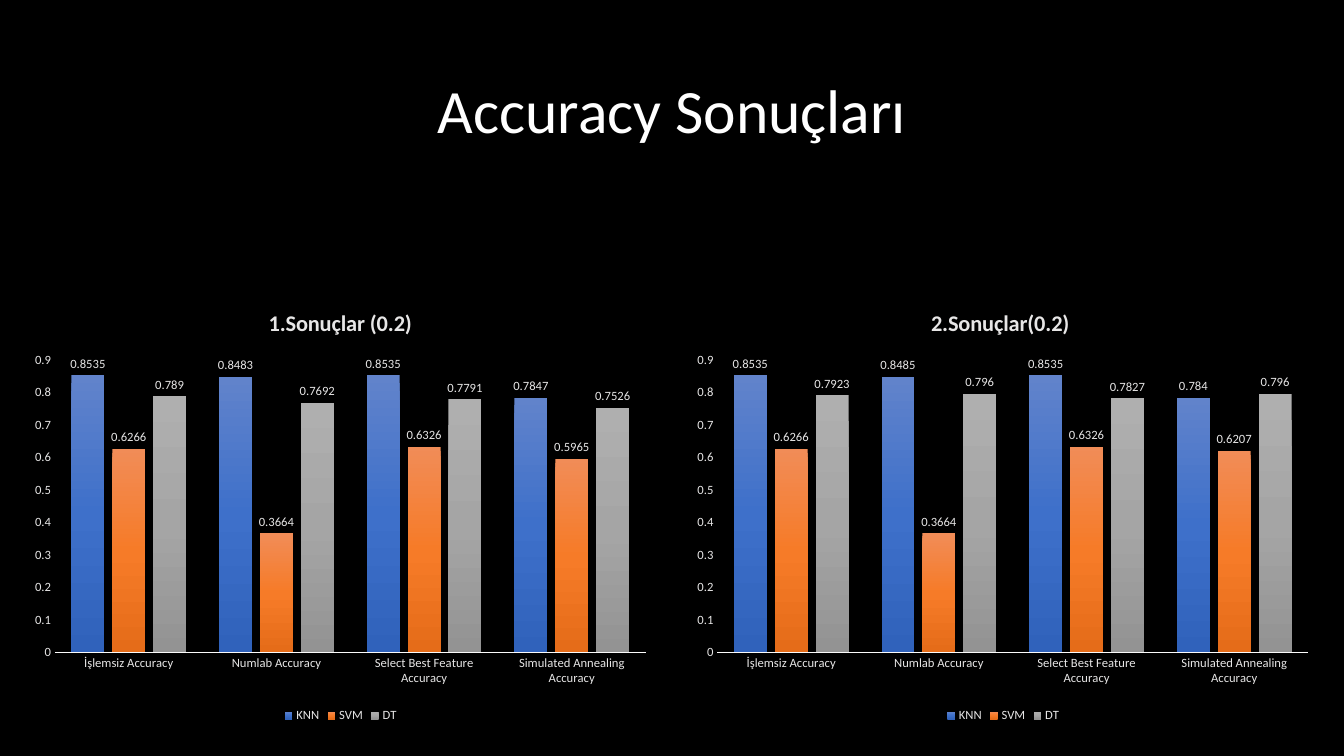
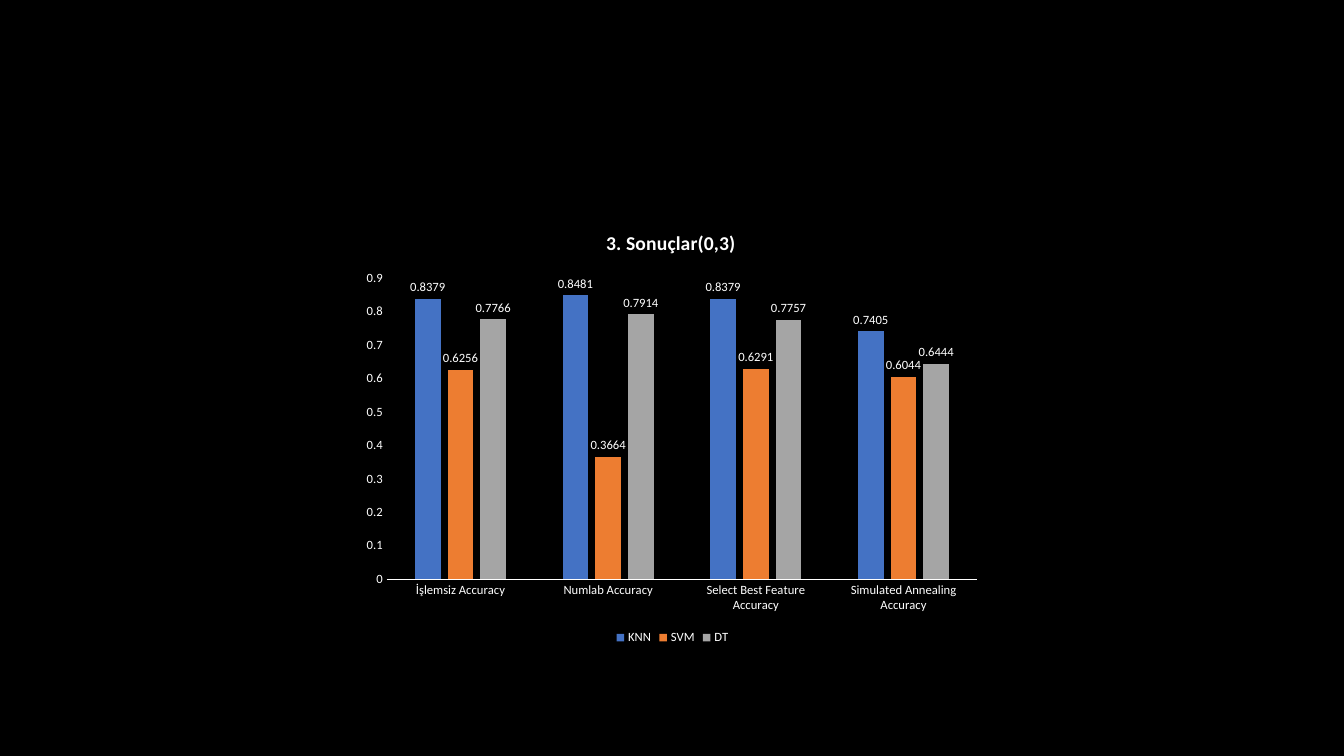
from dataclasses import dataclass

from pptx import Presentation
from pptx import util as u
from pptx.chart.data import CategoryChartData
from pptx.dml.color import RGBColor
from pptx.enum import chart as ch
from pptx.enum import text
from pptx.oxml import parse_xml
from pptx.oxml.ns import nsdecls, qn


@dataclass(frozen=True)
class Theme:
    font: str = "Calibri"
    background: str = "000000"
    white: str = "FFFFFF"
    title_size: int = 44
    label_size: int = 9


@dataclass(frozen=True)
class ChartStyle:
    text: str
    axis: str
    title_size: int
    gap: int
    overlap: int
    fills: tuple      # per series: one colour, or the stops of a gradient
    title_at: tuple   # fractions of the chart: x, y
    plot_at: tuple    # fractions of the chart: x, y, w, h


THEME = Theme()
GRADIENT = ChartStyle(
    "E7E6E6", "FBFBFB", 16, 100, -24,
    (("6183CB", "3E70CA", "3062BB"),
     ("F18C57", "F67B28", "E56C19"),
     ("AFAFAF", "A5A5A5", "939393")),
    (0.38, 0.03), (0.05, 0.16, 0.93, 0.67))
FLAT = ChartStyle(
    THEME.white, THEME.white, 14, 219, -27,
    (("4472C4",), ("ED7D31",), ("A5A5A5",)),
    (0.39, 0.03), (0.05, 0.15, 0.93, 0.69))

PX = 9144  # 100 px to the inch
CHART_W, CHART_H = 630, 433
CATEGORIES = ("İşlemsiz Accuracy", "Numlab Accuracy",
              "Select Best Feature Accuracy", "Simulated Annealing Accuracy")
MODELS = ("KNN", "SVM", "DT")


def px(n):
    return u.Emu(n * PX)


def set_font(font, size, color, bold=False):
    font.name, font.size, font.bold = THEME.font, u.Pt(size), bold
    font.color.rgb = RGBColor.from_string(color)


def set_background(slide, color):
    fill = slide.background.fill
    fill.solid()
    fill.fore_color.rgb = RGBColor.from_string(color)


def add_title(s, title):
    tf = s.shapes.add_textbox(px(92), px(40), px(1150), px(145)).text_frame
    tf.word_wrap = True
    tf.vertical_anchor = text.MSO_ANCHOR.MIDDLE
    tf.text = title
    p = tf.paragraphs[0]
    p.alignment = text.PP_ALIGN.CENTER
    p.line_spacing = 0.9
    set_font(p.runs[0].font, THEME.title_size, THEME.white)


def set_layout(parent, index, fractions, inner=False):
    """Place a chart part by fractions of the chart's size."""
    old = parent.find(qn("c:layout"))
    if old is not None:
        parent.remove(old)
    target = '<c:layoutTarget val="inner"/>' if inner else ""
    modes = '<c:xMode val="edge"/><c:yMode val="edge"/>'
    sizes = "".join(f'<c:{k} val="{v}"/>' for k, v in zip("xywh", fractions))
    parent.insert(index, parse_xml(
        f'<c:layout {nsdecls("c")}><c:manualLayout>{target}{modes}{sizes}'
        "</c:manualLayout></c:layout>"))


def fill_series(series, colors):
    fill = series.format.fill
    fill.solid()
    fill.fore_color.rgb = RGBColor.from_string(colors[0])
    if len(colors) > 1:
        step = 100000 // (len(colors) - 1)
        stops = "".join(
            f'<a:gs pos="{i * step}"><a:srgbClr val="{c}"/></a:gs>'
            for i, c in enumerate(colors))
        sp_pr = series.format.fill._xPr
        solid = sp_pr.find(qn("a:solidFill"))
        sp_pr.replace(solid, parse_xml(
            f'<a:gradFill {nsdecls("a")} rotWithShape="1"><a:gsLst>{stops}'
            '</a:gsLst><a:lin ang="5400000" scaled="0"/></a:gradFill>'))


def style_axes(chart, style):
    for axis in (chart.category_axis, chart.value_axis):
        axis.has_major_gridlines = False
        axis.major_tick_mark = axis.minor_tick_mark = ch.XL_TICK_MARK.NONE
        set_font(axis.tick_labels.font, THEME.label_size, style.text)
    line = chart.category_axis.format.line
    line.width = u.Pt(0.75)
    line.color.rgb = RGBColor.from_string(style.axis)
    values = chart.value_axis
    values.minimum_scale, values.maximum_scale, values.major_unit = 0, 0.9, 0.1
    values.format.line.fill.background()


def add_accuracy_chart(s, left, top, title, rows, style):
    data = CategoryChartData()
    data.categories = CATEGORIES
    for model, row in zip(MODELS, rows):
        data.add_series(model, row)
    chart = s.shapes.add_chart(
        ch.XL_CHART_TYPE.COLUMN_CLUSTERED, px(left), px(top),
        px(CHART_W), px(CHART_H), data).chart
    set_font(chart.font, 10, THEME.white)

    # Title
    chart.has_title = True
    tf = chart.chart_title.text_frame
    tf.text = title
    set_font(tf.paragraphs[0].runs[0].font, style.title_size, style.text, True)
    set_layout(chart.chart_title._element, 1, style.title_at)

    # Legend and axes
    chart.has_legend = True
    chart.legend.position = ch.XL_LEGEND_POSITION.BOTTOM
    chart.legend.include_in_layout = False
    set_font(chart.legend.font, THEME.label_size, style.text)
    style_axes(chart, style)

    # Columns and their values
    plot = chart.plots[0]
    plot.vary_by_categories = False
    plot.gap_width, plot.overlap = style.gap, style.overlap
    for series, colors in zip(plot.series, style.fills):
        fill_series(series, colors)
        labels = series.data_labels
        labels.show_value = True
        labels.position = ch.XL_LABEL_POSITION.OUTSIDE_END
        set_font(labels.font, THEME.label_size, style.text)
    plot_area = chart._chartSpace.chart.plotArea
    set_layout(plot_area, 0, style.plot_at, inner=True)


def main():
    prs = Presentation()
    prs.slide_width, prs.slide_height = px(1333), px(750)
    set_background(prs.slide_master, THEME.background)
    blank = prs.slide_layouts[6]

    # Results 1 and 2
    s = prs.slides.add_slide(blank)
    add_title(s, "Accuracy Sonuçları")
    add_accuracy_chart(s, 23, 288, "1.Sonuçlar (0.2)", (
        (0.8535, 0.8483, 0.8535, 0.7847),
        (0.6266, 0.3664, 0.6326, 0.5965),
        (0.789, 0.7692, 0.7791, 0.7526)), GRADIENT)
    add_accuracy_chart(s, 680, 288, "2.Sonuçlar(0.2)", (
        (0.8535, 0.8485, 0.8535, 0.784),
        (0.6266, 0.3664, 0.6326, 0.6207),
        (0.7923, 0.796, 0.7827, 0.796)), GRADIENT)

    # Result 3
    s = prs.slides.add_slide(blank)
    add_accuracy_chart(s, 352, 211, "3. Sonuçlar(0,3)", (
        (0.8379, 0.8481, 0.8379, 0.7405),
        (0.6256, 0.3664, 0.6291, 0.6044),
        (0.7766, 0.7914, 0.7757, 0.6444)), FLAT)

    prs.save("out.pptx")


if __name__ == "__main__":
    main()
